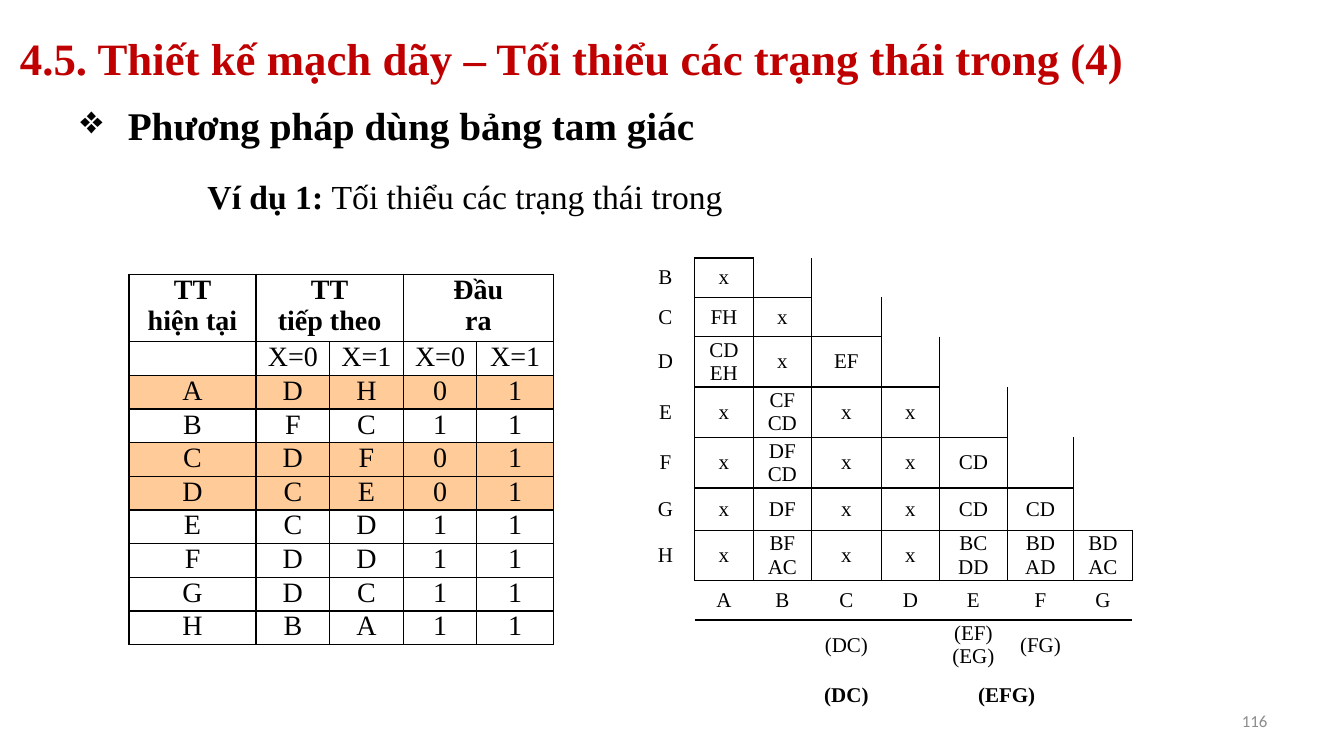
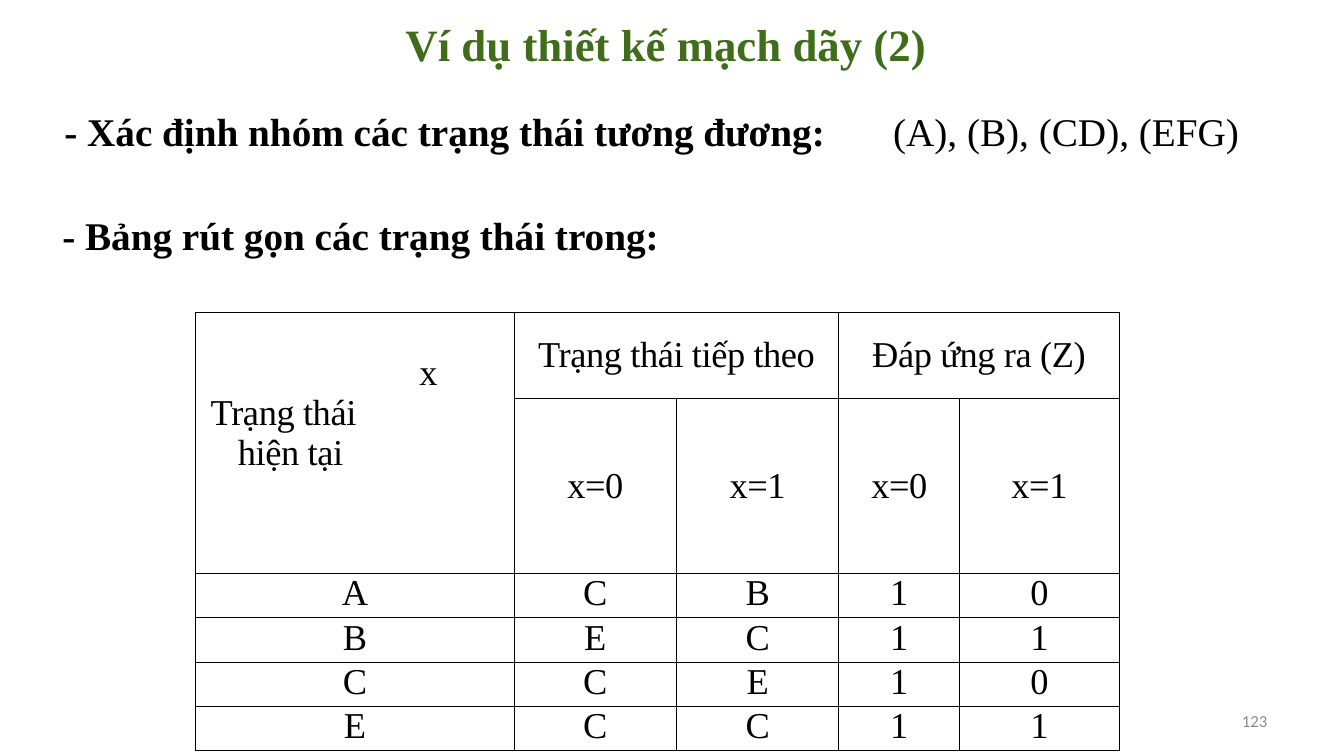
from dataclasses import dataclass

from lxml import etree
from pptx import Presentation
from pptx.dml.color import RGBColor
from pptx.enum.text import MSO_ANCHOR, PP_ALIGN
from pptx.oxml.ns import qn
from pptx.util import Inches, Pt

LEFT, CENTER, RIGHT = PP_ALIGN.LEFT, PP_ALIGN.CENTER, PP_ALIGN.RIGHT
TOP, MIDDLE = MSO_ANCHOR.TOP, MSO_ANCHOR.MIDDLE
BLANK_LAYOUT = 6
NO_GRID_STYLE = "{2D5ABB26-0587-4C30-8999-92F81FD0307C}"


@dataclass(frozen=True)
class Theme:
    body_font: str = "Times New Roman"
    number_font: str = "Calibri"
    ink: str = "000000"
    paper: str = "FFFFFF"
    section_title: str = "C00000"
    example_title: str = "3F6D19"
    number_grey: str = "8C8C8C"
    highlight: str = "FFCC99"
    title_size: int = 32
    heading_size: int = 28
    example_size: int = 24
    reduced_size: int = 26
    state_size: int = 20
    triangle_size: int = 15
    number_size: int = 12
    border: int = 1


THEME = Theme()


def style_run(run, size, color=THEME.ink, bold=False, font=THEME.body_font):
    run.font.name = font
    run.font.size = Pt(size)
    run.font.bold = bold
    run.font.color.rgb = RGBColor.from_string(color)


def add_text(slide, box, text, size, bold=False, color=THEME.ink,
             font=THEME.body_font, align=LEFT, anchor=TOP):
    """Add a one-paragraph text box and return its paragraph."""
    frame = slide.shapes.add_textbox(*map(Inches, box)).text_frame
    frame.word_wrap = True
    frame.vertical_anchor = anchor
    frame.text = text
    paragraph = frame.paragraphs[0]
    paragraph.alignment = align
    style_run(paragraph.runs[0], size, color, bold, font)
    return paragraph


def set_indent(paragraph, left=0.0, first=0.0):
    properties = paragraph._p.get_or_add_pPr()
    properties.set("marL", str(Inches(left)))
    properties.set("indent", str(Inches(first)))
    return properties


def add_title(slide, box, text, color, align=LEFT):
    add_text(slide, box, text, THEME.title_size, True, color,
             align=align, anchor=MIDDLE)


def add_heading(slide, box, text, bold=True, anchor=TOP):
    return add_text(slide, box, text, THEME.heading_size, bold, anchor=anchor)


def add_slide_number(slide, number):
    add_text(slide, (9.56, 6.95, 3.11, 0.4), str(number), THEME.number_size,
             color=THEME.number_grey, font=THEME.number_font,
             align=RIGHT, anchor=MIDDLE)


def add_border(cell, tag):
    line = etree.SubElement(cell._tc.get_or_add_tcPr(), qn(tag),
                            w=str(Pt(THEME.border)))
    fill = etree.SubElement(line, qn("a:solidFill"))
    etree.SubElement(fill, qn("a:srgbClr"), val=THEME.ink)


def frame_cell(cell, row, column, boxed):
    """Draw each side that a boxed cell shares, on either side of the edge."""
    neighbours = {"a:lnL": (row, column - 1), "a:lnR": (row, column + 1),
                  "a:lnT": (row - 1, column), "a:lnB": (row + 1, column)}
    for tag, neighbour in neighbours.items():
        if boxed(row, column) or boxed(*neighbour):
            add_border(cell, tag)


def fill_cell(cell, color):
    if color:
        cell.fill.solid()
        cell.fill.fore_color.rgb = RGBColor.from_string(color)
    else:
        cell.fill.background()


def write_cell(cell, text, size, bold, anchor):
    cell.vertical_anchor = anchor
    cell.text_frame.text = text
    for paragraph in cell.text_frame.paragraphs:
        paragraph.alignment = CENTER
        for run in paragraph.runs:
            style_run(run, size, bold=bold)


def add_grid(slide, origin, widths, heights, rows, size, margin, merges=(),
             bold_row=None, anchor=lambda row: TOP, fill=lambda row: None,
             boxed=lambda row, column: True):
    """Add a table at origin; anchor, fill and boxed are rules by position."""
    box = (*origin, sum(widths), sum(heights))
    table = slide.shapes.add_table(len(heights), len(widths),
                                   *map(Inches, box)).table
    table.first_row = table.horz_banding = False
    table._tbl.tblPr.find(qn("a:tableStyleId")).text = NO_GRID_STYLE
    for column, width in zip(table.columns, widths):
        column.width = Inches(width)
    for row, height in zip(table.rows, heights):
        row.height = Inches(height)
    for r in range(len(heights)):
        for c in range(len(widths)):
            cell = table.cell(r, c)
            cell.margin_left = cell.margin_right = Inches(margin)
            cell.margin_top = cell.margin_bottom = 0
            frame_cell(cell, r, c, boxed)
            fill_cell(cell, fill(r))
            if c < len(rows[r]) and rows[r][c]:
                write_cell(cell, rows[r][c], size, r == bold_row, anchor(r))
    for first, last in merges:
        table.cell(*first).merge(table.cell(*last))
    return table


def add_state_table(slide, origin):
    states = ["A D H 0 1", "B F C 1 1", "C D F 0 1", "D C E 0 1",
              "E C D 1 1", "F D D 1 1", "G D C 1 1", "H B A 1 1"]
    rows = [["TT\nhiện tại", "TT\ntiếp theo", "", "Đầu\nra"],
            ["", "X=0", "X=1", "X=0", "X=1"],
            *(state.split() for state in states)]

    def row_fill(row):
        return THEME.highlight if rows[row][0] in ("A", "C", "D") else THEME.paper

    add_grid(slide, origin, [1.26, 0.73, 0.73, 0.73, 0.76],
             [0.67] + [0.33] * 9, rows, THEME.state_size, 0.11,
             merges=[((0, 1), (0, 2)), ((0, 3), (0, 4))],
             bold_row=0, fill=row_fill)


def add_triangle_table(slide, origin):
    """Implication chart: stepped cells, state names, then merged groups."""
    steps = ["B x", "C FH x", "D CD/EH x EF", "E x CF/CD x x",
             "F x DF/CD x x CD", "G x DF x x CD CD",
             "H x BF/AC x x BC/DD BD/AD BD/AC"]
    rows = [step.replace("/", "\n").split(" ") for step in steps]
    rows += [["", *"ABCDEFG"],
             ["", "", "", "(DC)", "", "(EF)\n(EG)", "(FG)"],
             ["", "", "", "(DC)", "", "(EFG)"]]
    add_grid(slide, origin,
             [0.58, 0.58, 0.58, 0.69, 0.58, 0.67, 0.66, 0.58],
             [0.39, 0.39, 0.49, 0.49, 0.49, 0.42, 0.49, 0.39, 0.49, 0.49],
             rows, THEME.triangle_size, 0.1,
             merges=[((9, 5), (9, 6))], bold_row=9,
             anchor=lambda row: MIDDLE,
             boxed=lambda row, column: row < len(steps) and 1 <= column <= row + 1)


def add_reduced_table(slide, origin):
    states = ["A C B 1 0", "B E C 1 1", "C C E 1 0", "E C C 1 1"]
    rows = [["x\nTrạng thái\nhiện tại", "Trạng thái tiếp theo", "",
             "Đáp ứng ra (Z)"],
            ["", "x=0", "x=1", "x=0", "x=1"],
            *(state.split() for state in states)]
    table = add_grid(slide, origin, [3.16, 1.61, 1.61, 1.2, 1.58],
                     [0.85, 1.74] + [0.44] * 4, rows, THEME.reduced_size, 0.15,
                     merges=[((0, 0), (1, 0)), ((0, 1), (0, 2)),
                             ((0, 3), (0, 4))],
                     anchor=lambda row: MIDDLE if row < 2 else TOP)
    for cell in table.iter_cells():
        for paragraph in cell.text_frame.paragraphs:
            for run in paragraph.runs:
                run.font._element.set("spc", "-30")
    corner = table.cell(0, 0)
    corner.vertical_anchor = TOP
    corner.margin_top = Inches(0.4)
    for paragraph, indent in zip(corner.text_frame.paragraphs, (2.07, 0, 0.27)):
        paragraph.alignment = LEFT
        set_indent(paragraph, indent)


def build_triangle_slide(slide):
    add_slide_number(slide, 116)
    method = add_heading(slide, (0.7, 0.95, 7.1, 0.57),
                         "Phương pháp dùng bảng tam giác", anchor=MIDDLE)
    bullet = set_indent(method, 0.47, -0.47)
    etree.SubElement(bullet, qn("a:buChar"), char="❖")
    add_state_table(slide, (1.28, 2.72))
    add_triangle_table(slide, (6.31, 2.56))
    example = add_text(slide, (1.96, 1.7, 8.2, 0.5), "Ví dụ 1: ",
                       THEME.example_size, True)
    task = example.add_run()
    task.text = "Tối thiểu các trạng thái trong"
    style_run(task, THEME.example_size)
    add_title(slide, (0.1, 0.16, 12.13, 0.83),
              "4.5. Thiết kế mạch dãy – Tối thiểu các trạng thái trong (4)",
              THEME.section_title)


def build_reduction_slide(slide):
    add_slide_number(slide, 123)
    add_heading(slide, (0.54, 1.02, 8.06, 0.57),
                "- Xác định nhóm các trạng thái tương đương:")
    reduction = add_heading(slide, (0.15, 1.81, 6.66, 0.72),
                            "- Bảng rút gọn các trạng thái trong:")
    reduction.line_spacing = 1.5
    set_indent(reduction, first=0.37)
    add_reduced_table(slide, (1.94, 3.1))
    add_heading(slide, (8.76, 1.02, 3.9, 0.57), "(A), (B), (CD), (EFG)",
                bold=False)
    add_title(slide, (0.08, 0.06, 13.05, 0.75), "Ví dụ thiết kế mạch dãy (2)",
              THEME.example_title, CENTER)


def main():
    deck = Presentation()
    deck.slide_width, deck.slide_height = Inches(13.33), Inches(7.5)
    for build in (build_triangle_slide, build_reduction_slide):
        build(deck.slides.add_slide(deck.slide_layouts[BLANK_LAYOUT]))
    deck.save("out.pptx")


if __name__ == "__main__":
    main()
